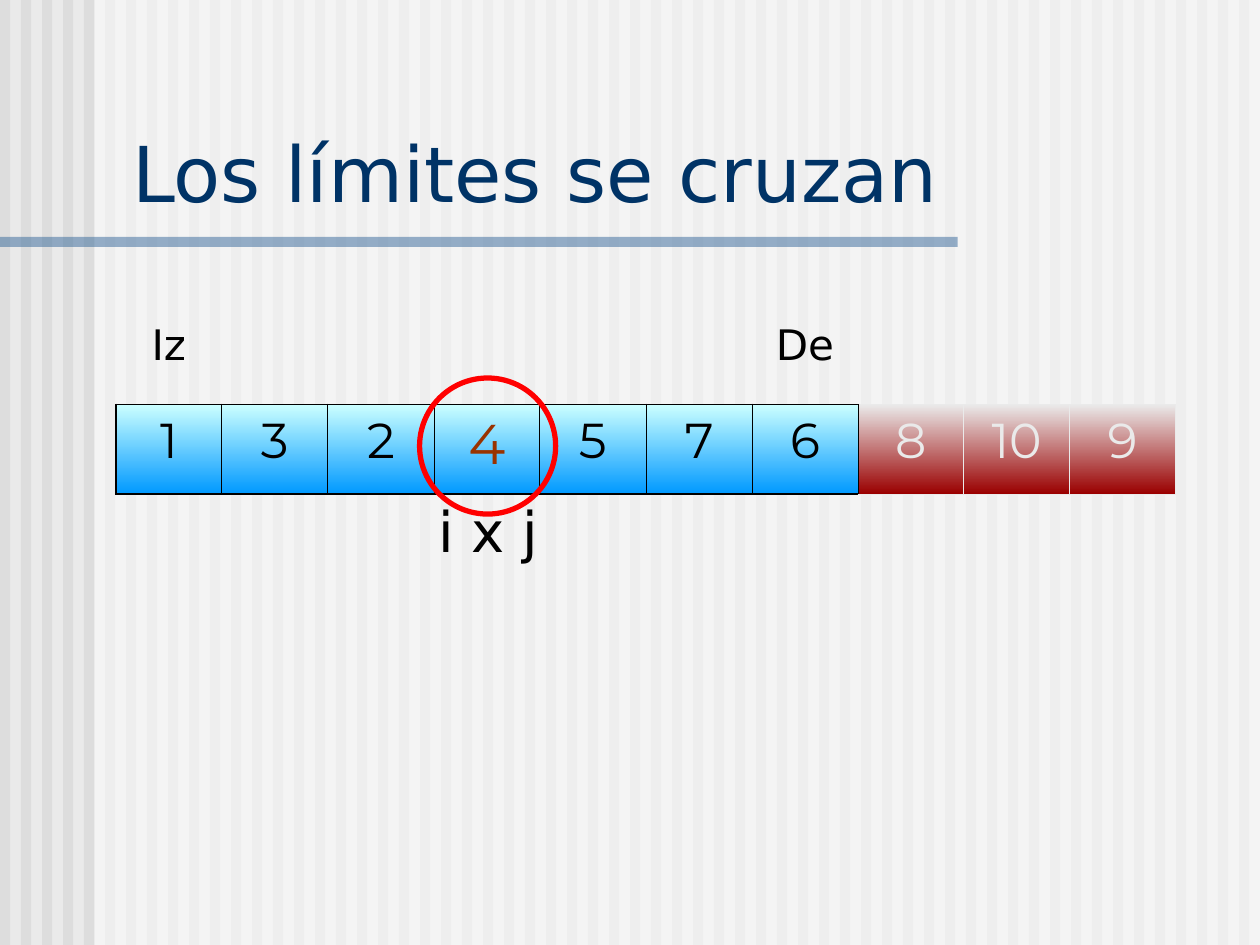
"""Build the slide on crossing limits in a partitioned array."""
from dataclasses import dataclass

from lxml import etree
from pptx import Presentation
from pptx.dml.color import RGBColor as Rgb
from pptx.enum import shapes, text
from pptx.oxml.ns import qn
from pptx.util import Inches, Pt


@dataclass
class Theme:
    sans: str = "DejaVu Sans"
    digit: str = "Montserrat"
    black: str = "000000"
    pale: str = "EAEAEA"
    stripe: str = "DDDDDD"
    white: str = "FFFFFF"
    rule: str = "336699"
    navy: str = "003366"
    pivot: str = "993300"
    ring: str = "FF0000"
    blue: tuple = ("CCFFFF", "0099FF")
    red: tuple = ("EAEAEA", "9A0000")
    head: int = 44
    large: int = 32
    mid: int = 28
    small: int = 24


def add_bar(group, left, top, width, height, color, alpha=100):
    bar = group.shapes.add_shape(
        shapes.MSO_SHAPE.RECTANGLE,
        Inches(left), Inches(top), Inches(width), Inches(height))
    bar.shadow.inherit = False
    bar.line.fill.background()
    bar.fill.solid()
    bar.fill.fore_color.rgb = Rgb.from_string(color)
    if alpha < 100:
        tint = next(bar._element.iter(qn("a:srgbClr")))
        etree.SubElement(tint, qn("a:alpha"), val=str(alpha * 1000))


def add_edge(cell, side, color, width):
    props = cell._tc.get_or_add_tcPr()
    line = etree.SubElement(props, qn(f"a:ln{side}"), w=str(Pt(width)))
    fill = etree.SubElement(line, qn("a:solidFill"))
    etree.SubElement(fill, qn("a:srgbClr"), val=color)


theme = Theme()
deck = Presentation()
deck.slide_width, deck.slide_height = Inches(10), Inches(7.5)
slide = deck.slides.add_slide(deck.slide_layouts[5])
slide.background.fill.solid()
slide.background.fill.fore_color.rgb = Rgb.from_string(theme.pale)

back = slide.shapes.add_group_shape()
for i in range(60):
    add_bar(back, i / 6, 0, 0.08, 7.5, theme.stripe)
add_bar(back, 0.75, 0, 9.25, 7.5, theme.white, 50)
add_bar(back, 0, 1.88, 7.6, 0.08, theme.rule, 50)

widths = [0.84, 0.84, 0.65, 0.2, 0.83, 0.22, 0.63] + [0.84] * 5
heights = [0.71, 0.71, 1.28]
frame = slide.shapes.add_table(
    len(heights), len(widths), Inches(0.92), Inches(2.5),
    Inches(sum(widths)), Inches(sum(heights)))
table = frame.table
table.first_row = table.horz_banding = False
style = next(table._tbl.iter(qn("a:tableStyleId")))
style.text = "{2D5ABB26-0587-4C30-8999-92F81FD0307C}"
for col, width in zip(table.columns, widths):
    col.width = Inches(width)
for row, height in zip(table.rows, heights):
    row.height = Inches(height)

for col in range(len(widths)):
    above, cell, below = (table.cell(row, col) for row in range(3))
    live = col < 9
    tone, thick = (theme.black, 1.08) if live else (theme.pale, 0.45)
    add_edge(above, "B", tone, thick)
    add_edge(cell, "L", theme.black if col < 10 else theme.pale,
             0.45 if col else 1.08)
    add_edge(cell, "R", tone, 0.45)
    add_edge(cell, "T", tone, thick)
    add_edge(cell, "B", tone, thick)
    add_edge(below, "T", tone, thick)
    cell.fill.gradient()
    cell.fill.gradient_angle = 270
    for stop, color in zip(cell.fill.gradient_stops,
                           theme.blue if live else theme.red):
        stop.color.rgb = Rgb.from_string(color)

for row, first, last in [(0, 2, 3), (0, 5, 6), (1, 2, 3), (1, 5, 6), (2, 3, 5)]:
    table.cell(row, first).merge(table.cell(row, last))

labels = [
    (0, 0, "Iz", theme.small, theme.sans, theme.black),
    (0, 8, "De", theme.small, theme.sans, theme.black),
    (1, 4, "4", theme.large, theme.digit, theme.pivot),
    (2, 3, "i x j", theme.large, theme.sans, theme.black),
]
for col, word in zip((0, 1, 2, 5, 7, 8, 9, 10, 11), "1 3 2 5 7 6 8 10 9".split()):
    color = theme.black if col < 9 else theme.pale
    labels.append((1, col, word, theme.mid, theme.digit, color))
for row, col, word, size, face, color in labels:
    para = table.cell(row, col).text_frame.paragraphs[0]
    para.text = word
    para.alignment = text.PP_ALIGN.CENTER
    para.space_before = Pt(size / 4)
    para.font.size, para.font.name = Pt(size), face
    para.font.color.rgb = Rgb.from_string(color)

title = slide.shapes.title
slide.shapes._spTree.append(title._element)
title.left, title.top = Inches(0.95), Inches(0.94)
title.width, title.height = Inches(8.93), Inches(0.84)
title.text_frame.vertical_anchor = text.MSO_ANCHOR.BOTTOM
title.text_frame.auto_size = text.MSO_AUTO_SIZE.SHAPE_TO_FIT_TEXT
para = title.text_frame.paragraphs[0]
para.text = "Los límites se cruzan"
para.alignment = text.PP_ALIGN.LEFT
para.font.size, para.font.name = Pt(theme.head), theme.sans
para.font.color.rgb = Rgb.from_string(theme.navy)

ring = slide.shapes.add_shape(
    shapes.MSO_SHAPE.OVAL, Inches(3.33), Inches(3), Inches(1.08), Inches(1.08))
ring.shadow.inherit = False
ring.fill.background()
ring.line.color.rgb = Rgb.from_string(theme.ring)
ring.line.width = Pt(3)

deck.save("out.pptx")
